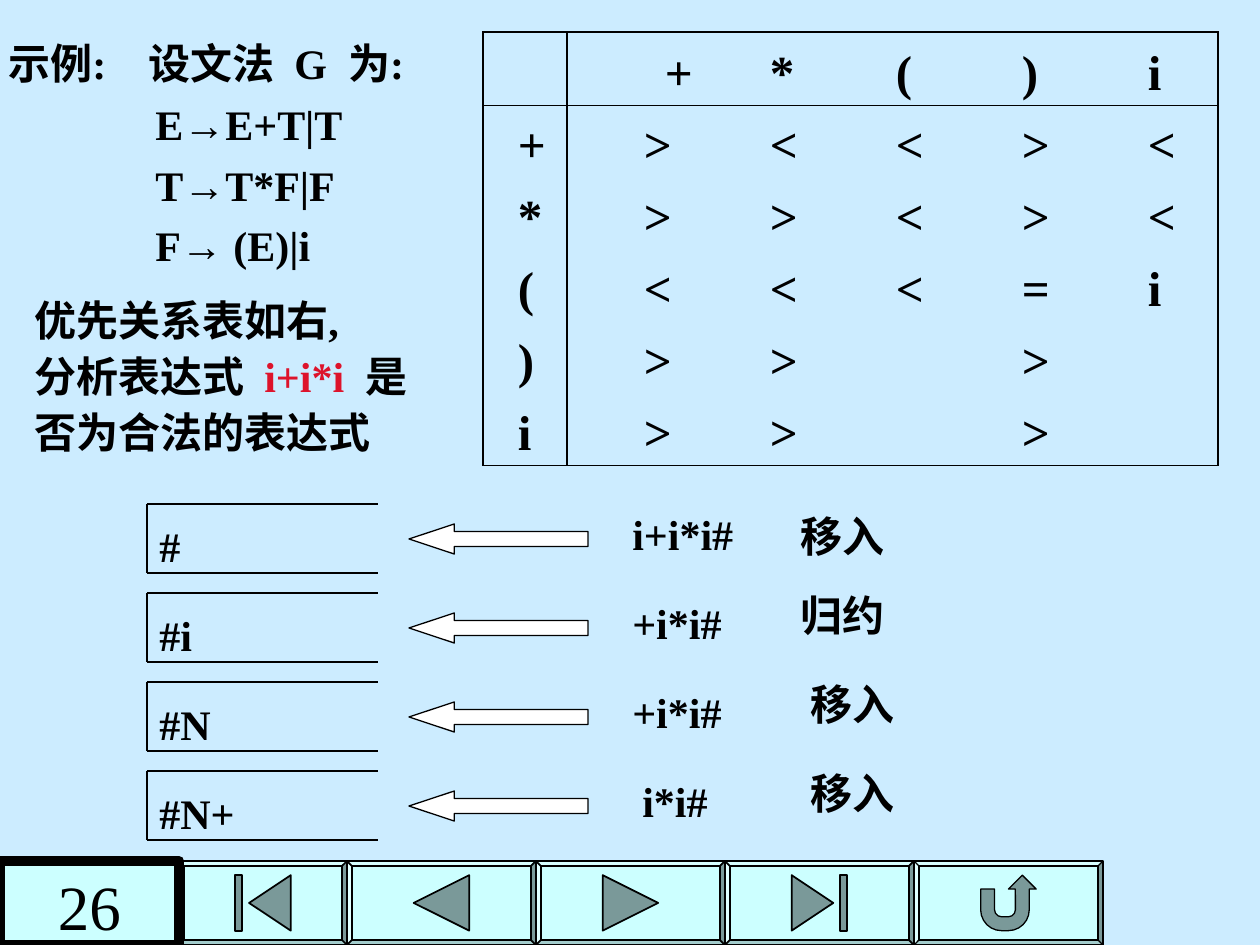
from lxml import etree
from pptx import Presentation
from pptx.dml.color import RGBColor
from pptx.enum.shapes import MSO_CONNECTOR, MSO_SHAPE
from pptx.enum.text import MSO_ANCHOR, PP_ALIGN
from pptx.oxml.ns import qn
from pptx.util import Emu, Pt

STRAIGHT = MSO_CONNECTOR.STRAIGHT
TOP, MIDDLE = MSO_ANCHOR.TOP, MSO_ANCHOR.MIDDLE
CENTER = PP_ALIGN.CENTER
FONT = "Times New Roman"
COLORS = {"background": "CCECFF", "button": "CCFFFF", "arrow": "FFFFFF",
          "ink": "000000", "expression": "DD132B"}

# A line is a list of parts: text, colour, extra width in points of its last space
GRAMMAR = [
    [("示例: ", "ink", 18), ("设文法 ", "ink", 6), ("G ", "ink", 6), ("为:", "ink", 0)],
    [("E→E+T|T", "ink", 0)],
    [("T→T*F|F", "ink", 0)],
    [("F→ (E)|i", "ink", 0)],
]
TASK = [
    [("优先关系表如右,", "ink", 0)],
    [("分析表达式 ", "ink", 6), ("i+i*i ", "expression", 6), ("是", "ink", 0)],
    [("否为合法的表达式", "ink", 0)],
]
PRECEDENCE = [
    ["", "+", "*", "(", ")", "i"],
    ["+", ">", "<", "<", ">", "<"],
    ["*", ">", ">", "<", ">", "<"],
    ["(", "<", "<", "<", "=", "i"],
    [")", ">", ">", "", ">", ""],
    ["i", ">", ">", "", ">", ""],
]
COLUMN_WIDTHS = [84, 168, 126, 126, 126, 105]
ROW_HEIGHTS = [73] + [71] * 5
# stack, its text width, remaining input, its left, action, its left and top
STEPS = [
    ("#", 47, "i+i*i#", 620, "移入", 788, 504),
    ("#i", 58, "+i*i#", 620, "归约", 788, 583),
    ("#N", 77, "+i*i#", 620, "移入", 798, 672),
    ("#N+", 101, "i*i#", 630, "移入", 798, 761),
]
STEP_TOP, STEP_PITCH = 504, 89
STACK_LEFT, STACK_RIGHT, STACK_HEIGHT = 147, 378, 69
# preset, left, width, line width
BUTTONS = [
    (MSO_SHAPE.ACTION_BUTTON_BEGINNING, 179, 168, 1),
    (MSO_SHAPE.ACTION_BUTTON_BACK_OR_PREVIOUS, 347, 189, 1),
    (MSO_SHAPE.ACTION_BUTTON_FORWARD_OR_NEXT, 536, 189, 1),
    (MSO_SHAPE.ACTION_BUTTON_END, 725, 189, 1),
    (MSO_SHAPE.ACTION_BUTTON_RETURN, 914, 189, 0.75),
]
BAR_TOP, BAR_HEIGHT, BEVEL_INSET = 861, 84, 5


def px(length):
    return Emu(round(length * 914400 / 126))


def color(name):
    return RGBColor.from_string(COLORS[name])


def style_font(font, size, bold=True, ink="ink"):
    font.name, font.size, font.bold = FONT, Pt(size), bold
    font.color.rgb = color(ink)


def add_part(paragraph, text, ink, gap):
    """Add a run; its closing space, if any, is widened by gap points."""
    pieces = [(text[:-1], 0), (" ", gap)] if gap else [(text, 0)]
    for piece, spacing in pieces:
        run = paragraph.add_run()
        run.text = piece
        style_font(run.font, 24, ink=ink)
        if spacing:
            run.font._element.set("spc", str(spacing * 100))


def add_text(slide, lines, left, top, width, height, wrap=False, anchor=TOP):
    box = slide.shapes.add_textbox(px(left), px(top), px(width), px(height))
    frame = box.text_frame
    frame.word_wrap, frame.vertical_anchor = wrap, anchor
    for index, parts in enumerate(lines):
        paragraph = frame.add_paragraph() if index else frame.paragraphs[0]
        if index:
            paragraph.space_before = Pt(6)
        for part in parts:
            add_part(paragraph, *part)
    return frame.paragraphs


def add_label(slide, text, *place):
    add_text(slide, [[(text, "ink", 0)]], *place)


def add_line(slide, x1, y1, x2, y2):
    line = slide.shapes.add_connector(STRAIGHT, px(x1), px(y1), px(x2), px(y2))
    line.line.color.rgb = color("ink")
    line.line.width = Pt(0.75)
    etree.SubElement(line._element.spPr, qn("a:effectLst"))


def add_shape(slide, preset, left, top, width, height, fill, line_width):
    shape = slide.shapes.add_shape(preset, px(left), px(top), px(width), px(height))
    shape.shadow.inherit = False
    shape.fill.solid()
    shape.fill.fore_color.rgb = color(fill)
    shape.line.color.rgb = color("ink")
    shape.line.width = Pt(line_width)
    return shape


def add_button(slide, preset, left, width, line_width):
    """Set the action button inside a bevelled frame."""
    frame = add_shape(slide, MSO_SHAPE.BEVEL, left, BAR_TOP, width, BAR_HEIGHT,
                      "button", line_width)
    frame.adjustments[0] = BEVEL_INSET / BAR_HEIGHT
    add_shape(slide, preset, left + BEVEL_INSET, BAR_TOP + BEVEL_INSET,
              width - 2 * BEVEL_INSET, BAR_HEIGHT - 2 * BEVEL_INSET,
              "button", line_width)


def set_borders(cell, visible):
    """Draw the sides named in visible (L, R, T, B) and blank the others."""
    properties = cell._tc.get_or_add_tcPr()
    for index, side in enumerate("LRTB"):
        border = etree.Element(qn(f"a:ln{side}"), w=str(Pt(0.75)))
        if side in visible:
            fill = etree.SubElement(border, qn("a:solidFill"))
            etree.SubElement(fill, qn("a:srgbClr"), val=COLORS["ink"])
        else:
            etree.SubElement(border, qn("a:noFill"))
        properties.insert(index, border)


def add_precedence_table(slide):
    rows, columns = len(ROW_HEIGHTS), len(COLUMN_WIDTHS)
    table = slide.shapes.add_table(rows, columns, px(483), px(32),
                                   px(sum(COLUMN_WIDTHS)), px(sum(ROW_HEIGHTS))).table
    table.first_row = table.horz_banding = False
    for column, width in zip(table.columns, COLUMN_WIDTHS):
        column.width = px(width)
    for r, (row, height) in enumerate(zip(table.rows, ROW_HEIGHTS)):
        row.height = px(height)
        for c, cell in enumerate(row.cells):
            cell.text = PRECEDENCE[r][c]
            cell.fill.background()
            cell.vertical_anchor = TOP
            inset = 77 if c == 1 else 35
            cell.margin_left = px(inset + 21 if (r, c) == (0, 1) else inset)
            cell.margin_top = px(13 if r else 15)
            cell.margin_right = cell.margin_bottom = 0
            style_font(cell.text_frame.paragraphs[0].font, 28)
            set_borders(cell, ("L" if c < 2 else "")
                        + ("R" if c in (0, columns - 1) else "")
                        + ("T" if r < 2 else "")
                        + ("B" if r in (0, rows - 1) else ""))


def add_step(slide, top, step):
    stack, stack_width, remaining, remaining_left, action, action_left, action_top = step
    bottom = top + STACK_HEIGHT
    add_line(slide, STACK_LEFT, top, STACK_RIGHT, top)
    add_line(slide, STACK_LEFT, top, STACK_LEFT, bottom)
    add_line(slide, STACK_LEFT, bottom, STACK_RIGHT, bottom)
    add_label(slide, remaining, remaining_left, top - 2, 154, 63, True, MIDDLE)
    arrow = add_shape(slide, MSO_SHAPE.LEFT_ARROW, 409, top + 20, 179, 30, "arrow", 0.75)
    arrow.adjustments[0], arrow.adjustments[1] = 0.5, 1.51
    add_label(slide, stack, STACK_LEFT, top + 10, stack_width, 63)
    add_label(slide, action, action_left, action_top, 110, 63)


def main():
    presentation = Presentation()
    presentation.slide_width, presentation.slide_height = px(1260), px(945)
    slide = presentation.slides.add_slide(presentation.slide_layouts[6])
    slide.background.fill.solid()
    slide.background.fill.fore_color.rgb = color("background")

    for button in BUTTONS:
        add_button(slide, *button)

    for rule in add_text(slide, GRAMMAR, -4, 31, 484, 246, wrap=True)[1:]:
        properties = rule._p.get_or_add_pPr()
        properties.set("marL", str(px(147)))
        properties.set("indent", "0")

    add_precedence_table(slide)

    for paragraph in add_text(slide, TASK, 22, 294, 441, 170, wrap=True):
        paragraph.line_spacing = 0.9

    for index, step in enumerate(STEPS):
        add_step(slide, STEP_TOP + index * STEP_PITCH, step)

    number = add_shape(slide, MSO_SHAPE.RECTANGLE, 0, BAR_TOP, 179, BAR_HEIGHT, "button", 6)
    number.text_frame.text = "26"
    number.text_frame.vertical_anchor = TOP
    paragraph = number.text_frame.paragraphs[0]
    paragraph.alignment = CENTER
    style_font(paragraph.runs[0].font, 36, bold=False)

    presentation.save("out.pptx")


if __name__ == "__main__":
    main()
